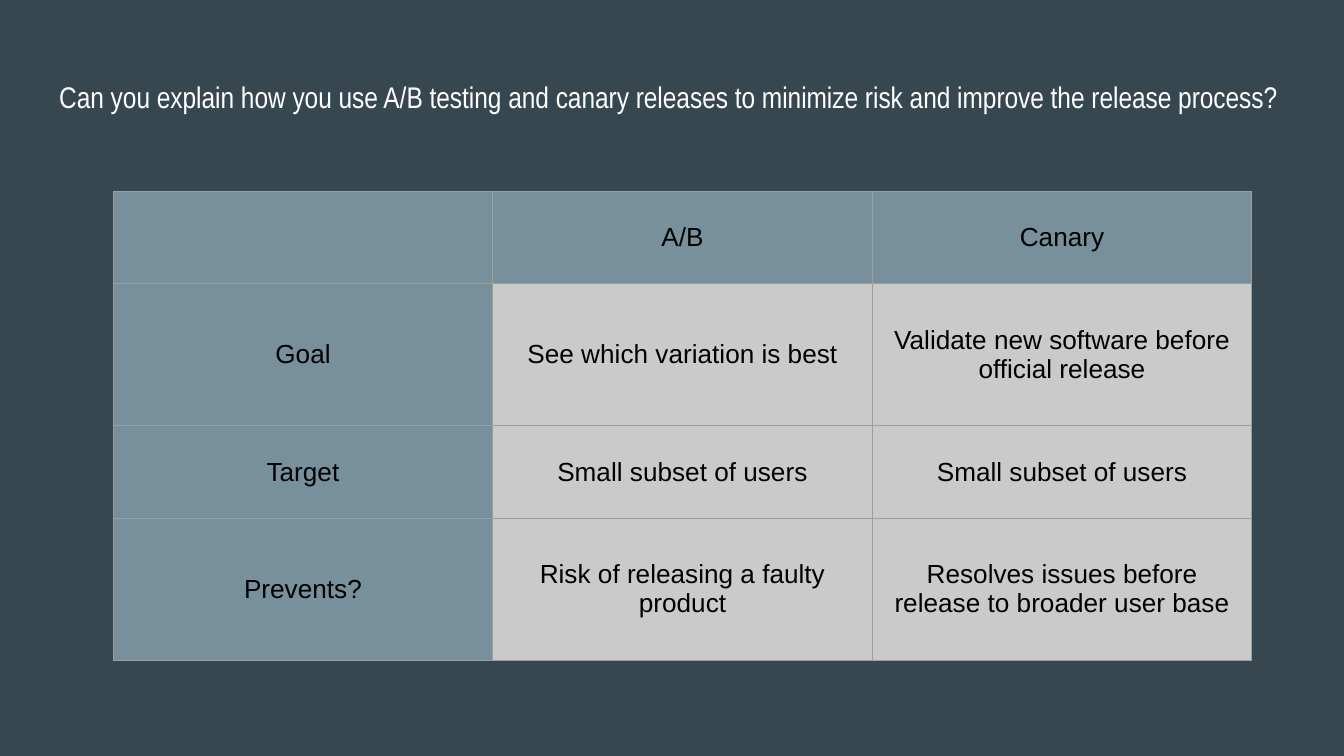
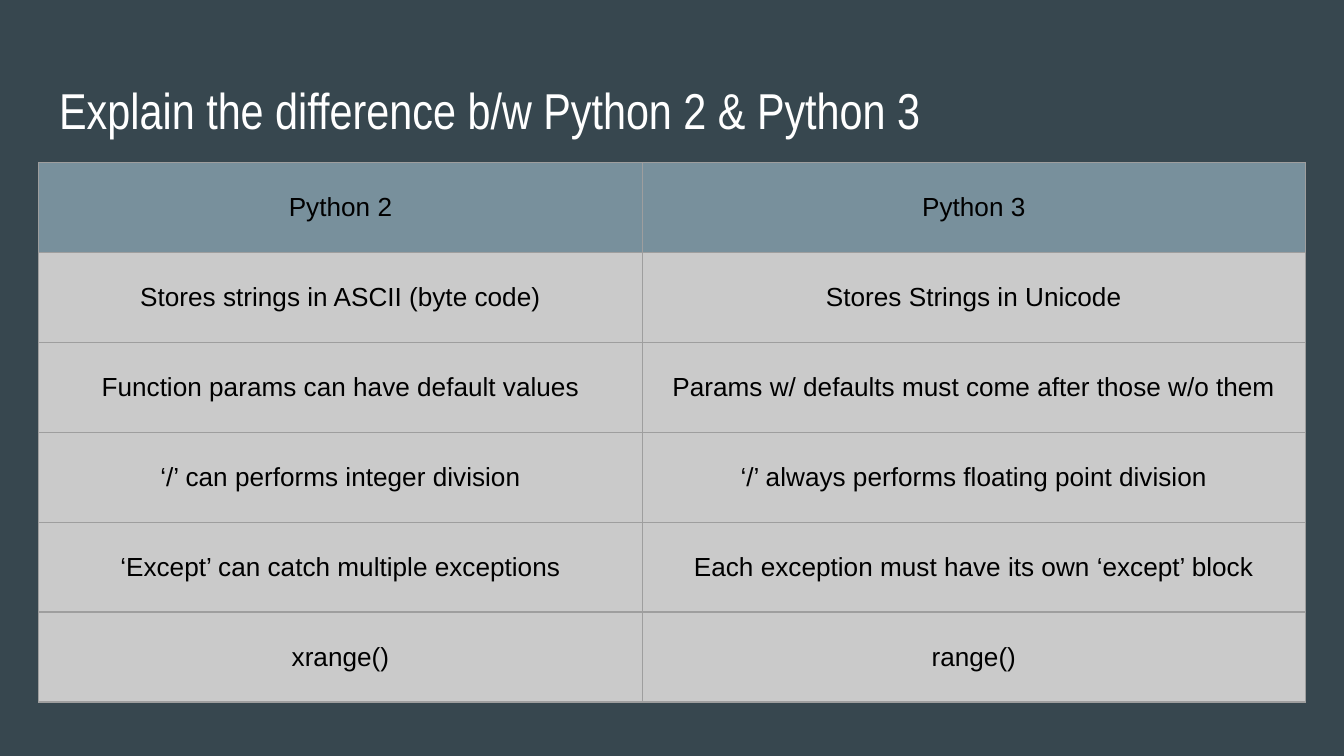
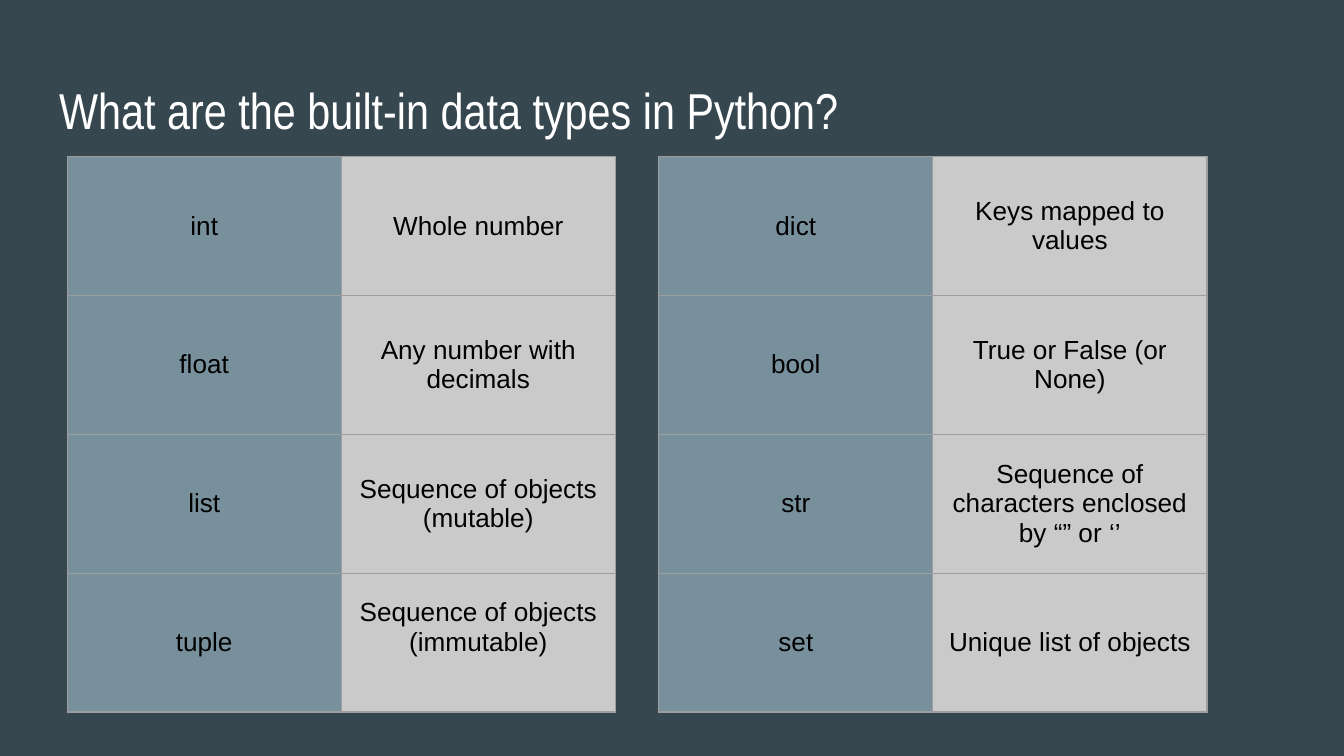
from collections import namedtuple

from lxml import etree
from pptx import Presentation
from pptx.dml.color import RGBColor
from pptx.enum.text import MSO_ANCHOR, PP_ALIGN
from pptx.oxml.ns import qn
from pptx.util import Cm, Pt

MIDDLE, TOP = MSO_ANCHOR.MIDDLE, MSO_ANCHOR.TOP
LEFT, CENTER = PP_ALIGN.LEFT, PP_ALIGN.CENTER

BACKDROP = RGBColor(0x37, 0x47, 0x4F)
HEADING_FILL = RGBColor(0x78, 0x90, 0x9C)
BODY_FILL = RGBColor(0xCA, 0xCA, 0xCA)
GRID_LINE = RGBColor(0x9E, 0x9E, 0x9E)
WHITE = RGBColor(0xFF, 0xFF, 0xFF)
BLACK = RGBColor(0x00, 0x00, 0x00)

# All box measures are in centimetres
Box = namedtuple("Box", "left top width height")
SLIDE_WIDTH, SLIDE_HEIGHT = 25.4, 14.29
TITLE_BOX = Box(0.87, 1.24, 23.67, 1.59)

MARGINS = {f"margin_{side}": Cm(0.25) for side in ("left", "right", "top", "bottom")}
TITLE_FRAME = {**MARGINS, "word_wrap": True, "vertical_anchor": TOP}
CELL_FORMAT = {**MARGINS, "vertical_anchor": MIDDLE}
TITLE_FONT = {"name": "Arial Narrow", "size": Pt(27)}
LONG_TITLE_FONT = {**TITLE_FONT, "size": Pt(16)}
CELL_FONT = {"name": "Arial", "size": Pt(14)}

RELEASE_ROWS = [
    ("", "A/B", "Canary"),
    ("Goal", "See which variation is best",
     "Validate new software before official release"),
    ("Target", "Small subset of users", "Small subset of users"),
    ("Prevents?", "Risk of releasing a faulty product",
     "Resolves issues before release to broader user base"),
]
VERSION_ROWS = [
    ("Python 2", "Python 3"),
    ("Stores strings in ASCII (byte code)", "Stores Strings in Unicode"),
    ("Function params can have default values",
     "Params w/ defaults must come after those w/o them"),
    ("‘/’ can performs integer division",
     "‘/’ always performs floating point division"),
    ("‘Except’ can catch multiple exceptions",
     "Each exception must have its own ‘except’ block"),
    ("xrange()", "range()"),
]
NUMBER_AND_SEQUENCE_TYPES = [
    ("int", "Whole number"),
    ("float", "Any number with decimals"),
    ("list", "Sequence of objects (mutable)"),
    ("tuple", "Sequence of objects (immutable)"),
]
OTHER_TYPES = [
    ("dict", "Keys mapped to values"),
    ("bool", "True or False (or None)"),
    ("str", "Sequence of characters enclosed by “” or ‘’"),
    ("set", "Unique list of objects"),
]


def apply_format(target, values):
    for attribute, value in values.items():
        setattr(target, attribute, value)


def write_text(frame, text, font, color, alignment):
    paragraph = frame.paragraphs[0]
    paragraph.alignment = alignment
    if text:
        run = paragraph.add_run()
        run.text = text
        apply_format(run.font, font)
        run.font.color.rgb = color


def draw_cell_borders(cell):
    properties = cell._tc.get_or_add_tcPr()
    for position, edge in enumerate(("a:lnL", "a:lnR", "a:lnT", "a:lnB")):
        line = etree.Element(qn(edge), w=str(Pt(0.75)))
        fill = etree.SubElement(line, qn("a:solidFill"))
        etree.SubElement(fill, qn("a:srgbClr"), val=str(GRID_LINE))
        properties.insert(position, line)


def set_track_sizes(tracks, attribute, total, shares):
    """Divide a total length among rows or columns in the given proportions."""
    for track, share in zip(tracks, shares):
        setattr(track, attribute, Cm(total * share / sum(shares)))


def add_comparison(slide, box, rows, column_shares=(1, 1), row_shares=None,
                   heading_rows=0, heading_columns=0):
    table = slide.shapes.add_table(len(rows), len(rows[0]), *map(Cm, box)).table
    table.first_row = table.horz_banding = False
    set_track_sizes(table.columns, "width", box.width, column_shares)
    set_track_sizes(table.rows, "height", box.height, row_shares or [1] * len(rows))
    for row, entries in enumerate(rows):
        for column, entry in enumerate(entries):
            cell = table.cell(row, column)
            apply_format(cell, CELL_FORMAT)
            is_heading = row < heading_rows or column < heading_columns
            cell.fill.solid()
            cell.fill.fore_color.rgb = HEADING_FILL if is_heading else BODY_FILL
            draw_cell_borders(cell)
            write_text(cell.text_frame, entry, CELL_FONT, BLACK, CENTER)
    return table


def add_titled_slide(deck, title, font=TITLE_FONT):
    slide = deck.slides.add_slide(deck.slide_layouts[6])
    frame = slide.shapes.add_textbox(*map(Cm, TITLE_BOX)).text_frame
    apply_format(frame, TITLE_FRAME)
    write_text(frame, title, font, WHITE, LEFT)
    return slide


def add_release_slide(deck, box):
    slide = add_titled_slide(
        deck,
        "Can you explain how you use A/B testing and canary releases "
        "to minimize risk and improve the release process?",
        LONG_TITLE_FONT)
    add_comparison(slide, box, RELEASE_ROWS, column_shares=(1, 1, 1),
                   row_shares=(0.69, 1.06, 0.69, 1.06),
                   heading_rows=1, heading_columns=1)


def add_version_slide(deck, box):
    slide = add_titled_slide(deck, "Explain the difference b/w Python 2 & Python 3")
    add_comparison(slide, box, VERSION_ROWS, column_shares=(4.49, 4.93),
                   heading_rows=1)


def add_data_type_slide(deck, box, gap=0.82):
    slide = add_titled_slide(deck, "What are the built-in data types in Python?")
    width = (box.width - gap) / 2
    left_half = box._replace(width=width)
    right_half = left_half._replace(left=box.left + width + gap)
    sequences = add_comparison(slide, left_half, NUMBER_AND_SEQUENCE_TYPES,
                               heading_columns=1)
    # The tuple description sits half a line above the middle
    sequences.cell(3, 1).margin_bottom = Cm(0.82)
    add_comparison(slide, right_half, OTHER_TYPES, heading_columns=1)


def main():
    deck = Presentation()
    deck.slide_width, deck.slide_height = Cm(SLIDE_WIDTH), Cm(SLIDE_HEIGHT)
    backdrop = deck.slide_master.background.fill
    backdrop.solid()
    backdrop.fore_color.rgb = BACKDROP
    add_release_slide(deck, Box(2.14, 3.62, 21.52, 8.86))
    add_version_slide(deck, Box(0.73, 3.07, 23.94, 10.2))
    add_data_type_slide(deck, Box(1.27, 2.96, 21.54, 10.5))
    deck.save("out.pptx")


if __name__ == "__main__":
    main()
